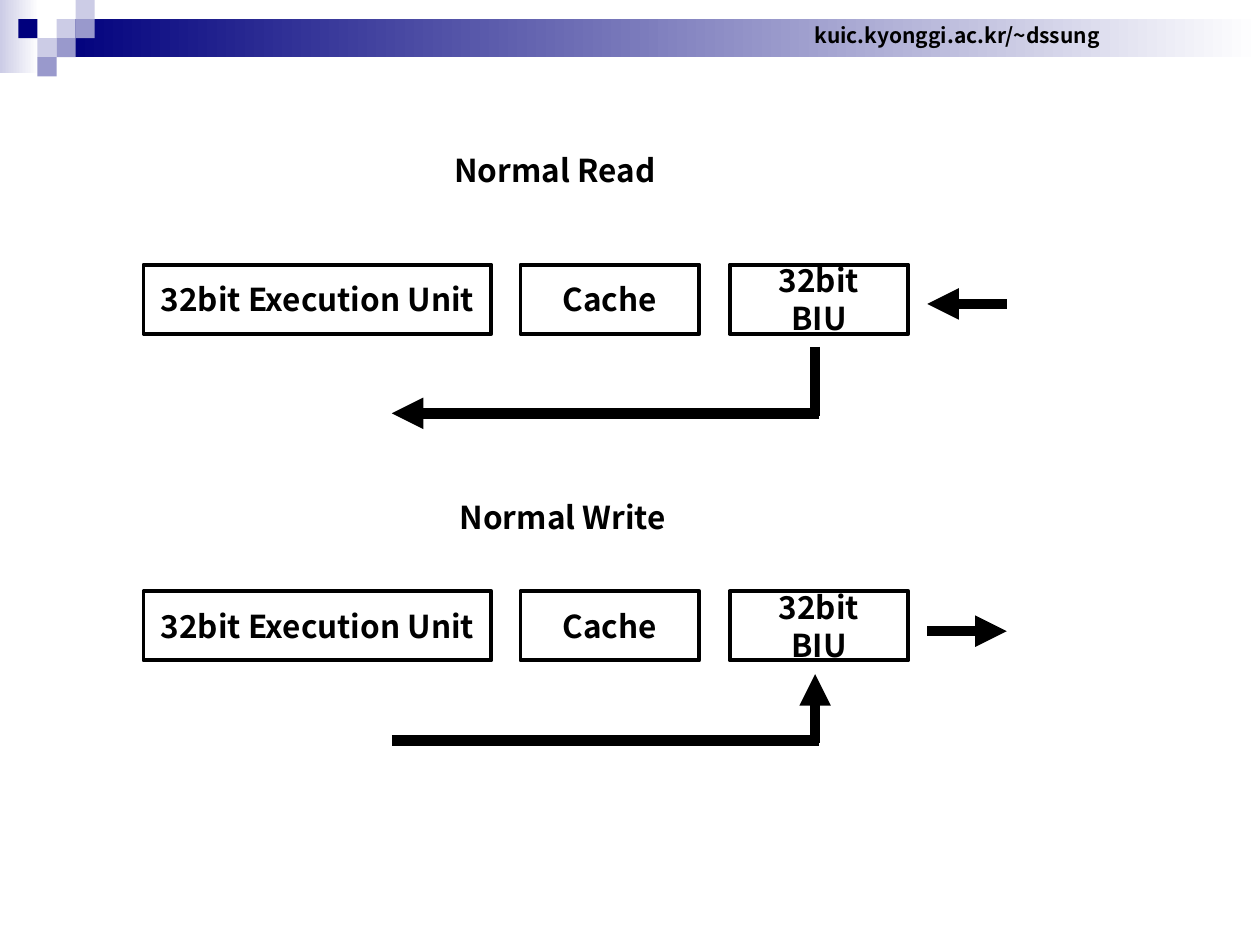
"""Build the slide on normal read and write paths."""
from typing import Any, NamedTuple

from lxml.etree import SubElement
from pptx import Presentation
from pptx.dml.color import RGBColor
from pptx.enum.shapes import MSO_CONNECTOR, MSO_SHAPE
from pptx.enum.text import MSO_ANCHOR, MSO_AUTO_SIZE, PP_ALIGN
from pptx.oxml.ns import qn
from pptx.util import Pt

BLACK = RGBColor(0x00, 0x00, 0x00)
WHITE = RGBColor(0xFF, 0xFF, 0xFF)
NAVY = RGBColor(0x00, 0x00, 0x7D)
PALE = RGBColor(0xCC, 0xCC, 0xE6)
LILAC = RGBColor(0x99, 0x99, 0xCC)

FONT = {"name": "Noto Sans CJK KR", "bold": True}
FRAME = {"word_wrap": False, "margin_left": Pt(7.2), "margin_right": Pt(7.2),
         "margin_top": Pt(3.6), "margin_bottom": Pt(3.6)}
MID = {"vertical_anchor": MSO_ANCHOR.MIDDLE}
GROW = {"auto_size": MSO_AUTO_SIZE.SHAPE_TO_FIT_TEXT}


class Area(NamedTuple):
    left: float
    top: float
    width: float
    height: float


class Tile(NamedTuple):
    col: int
    row: int
    color: RGBColor


class Unit(NamedTuple):
    left: float
    width: float
    text: str


class Path(NamedTuple):
    x1: float
    y1: float
    x2: float
    y2: float
    tip: bool


class Flow(NamedTuple):
    top: float
    title: str
    head: Area
    paths: tuple[Path, ...]


SIDE = 10.9
TILES = (Tile(3, 1, PALE), Tile(4, 0, PALE), Tile(4, 1, LILAC), Tile(2, 2, PALE),
         Tile(1, 1, NAVY), Tile(3, 2, LILAC), Tile(2, 3, LILAC))
UNITS = (Unit(82, 198.8, "32bit Execution Unit"), Unit(297.4, 102.2, "Cache"),
         Unit(416.9, 102.2, "32bit\nBIU"))
TALL = 39.6
READ = Flow(151.2, "Normal Read", Area(252.6, 82.8, 131.8, 28.8),
            (Path(468, 85, 223.9, 85, True), Path(465.8, 47, 465.8, 86.6, False),
             Path(575.3, 22.5, 529.9, 22.5, True)))
WRITE = Flow(337.8, "Normal Write", Area(255.6, 280.8, 136.1, 28.8),
             (Path(223.9, 85.4, 468, 85.4, False), Path(465.8, 87, 465.8, 47.4, True),
              Path(529.9, 22.9, 575.3, 22.9, True)))


def assign(item: Any, values: dict[str, Any]) -> None:
    """Set each named value on the item."""
    for name, value in values.items():
        setattr(item, name, value)


def points(*sizes: float) -> list[Pt]:
    """Turn plain numbers into lengths."""
    return [Pt(size) for size in sizes]


def draw_rect(slide: Any, area: Area, *colors: RGBColor) -> Any:
    """Draw a plain rectangle with a solid or two-tone fill."""
    shape = slide.shapes.add_shape(MSO_SHAPE.RECTANGLE, *points(*area))
    shape.shadow.inherit = False
    shape.line.fill.background()
    if len(colors) == 1:
        shape.fill.solid()
        shape.fill.fore_color.rgb = colors[0]
    else:
        shape.fill.gradient()
        shape.fill.gradient_angle = 180
        for stop, color in zip(shape.fill.gradient_stops, colors):
            stop.color.rgb = color
    return shape


def write_text(shape: Any, text: str, size: float, align: Any, extra: dict[str, Any]) -> None:
    """Write formatted text into a shape."""
    frame = shape.text_frame
    frame.text = text
    assign(frame, FRAME | extra)
    for para in frame.paragraphs:
        para.alignment = align
        assign(para.font, FONT | {"size": Pt(size)})
        para.font.color.rgb = BLACK


def draw_label(slide: Any, area: Area, text: str, size: float, extra: dict[str, Any]) -> None:
    """Draw a free line of text."""
    box = slide.shapes.add_textbox(*points(*area))
    write_text(box, text, size, PP_ALIGN.LEFT, GROW | extra)


def draw_unit(slide: Any, unit: Unit, top: float) -> None:
    """Draw one framed unit."""
    shape = draw_rect(slide, Area(unit.left, top, unit.width, TALL), WHITE)
    shape.line.color.rgb = BLACK
    shape.line.width = Pt(2.25)
    write_text(shape, unit.text, 18, PP_ALIGN.CENTER, MID)


def draw_path(slide: Any, path: Path, top: float) -> None:
    """Draw a thick line, with a tip at its end if asked."""
    ends = points(path.x1, top + path.y1, path.x2, top + path.y2)
    link = slide.shapes.add_connector(MSO_CONNECTOR.STRAIGHT, *ends)
    link.line.color.rgb = BLACK
    link.line.width = Pt(6)
    if path.tip:
        SubElement(link.line._get_or_add_ln(), qn("a:tailEnd"), type="triangle")
    SubElement(link._element.spPr, qn("a:effectLst"))


def draw_flow(slide: Any, flow: Flow) -> None:
    """Draw a title with its units and paths."""
    for unit in UNITS:
        draw_unit(slide, unit, flow.top)
    for path in flow.paths:
        draw_path(slide, path, flow.top)
    draw_label(slide, flow.head, flow.title, 18, {})


def draw_banner(slide: Any) -> None:
    """Draw the top band, its tiles and the address."""
    draw_rect(slide, Area(0, 0, 22.3, 41.8), WHITE, PALE)
    draw_rect(slide, Area(32.4, 10.8, 687.6, 21.6), WHITE, NAVY)
    for tile in TILES:
        left, top = tile.col * SIDE - 0.4, tile.row * SIDE
        draw_rect(slide, Area(left, top, SIDE, SIDE), tile.color)
    draw_label(slide, Area(458.6, 9.4, 177.8, 21.6), "kuic.kyonggi.ac.kr/~dssung", 12, MID)


def main() -> None:
    """Build and save the deck."""
    deck = Presentation()
    assign(deck, {"slide_width": Pt(720), "slide_height": Pt(540)})
    slide = deck.slides.add_slide(deck.slide_layouts[6])
    draw_banner(slide)
    for flow in (READ, WRITE):
        draw_flow(slide, flow)
    deck.save("out.pptx")


if __name__ == "__main__":
    main()
